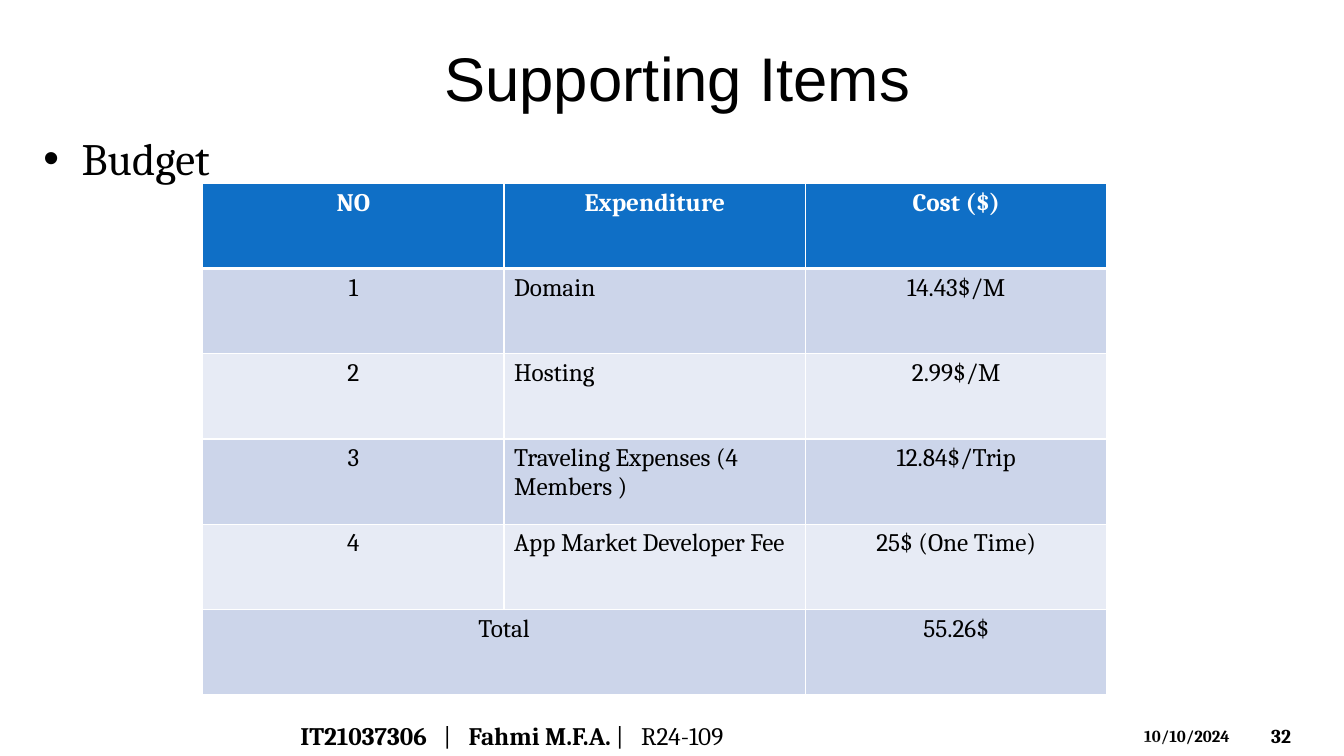
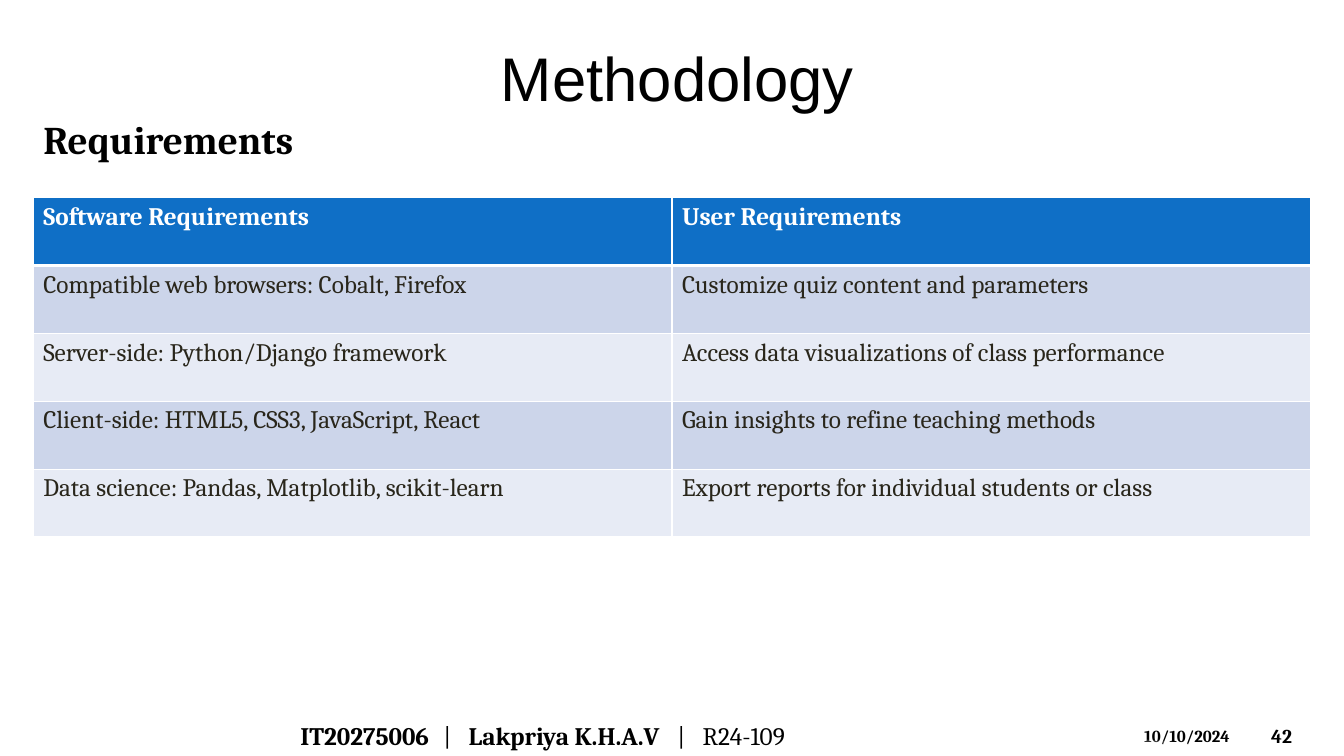
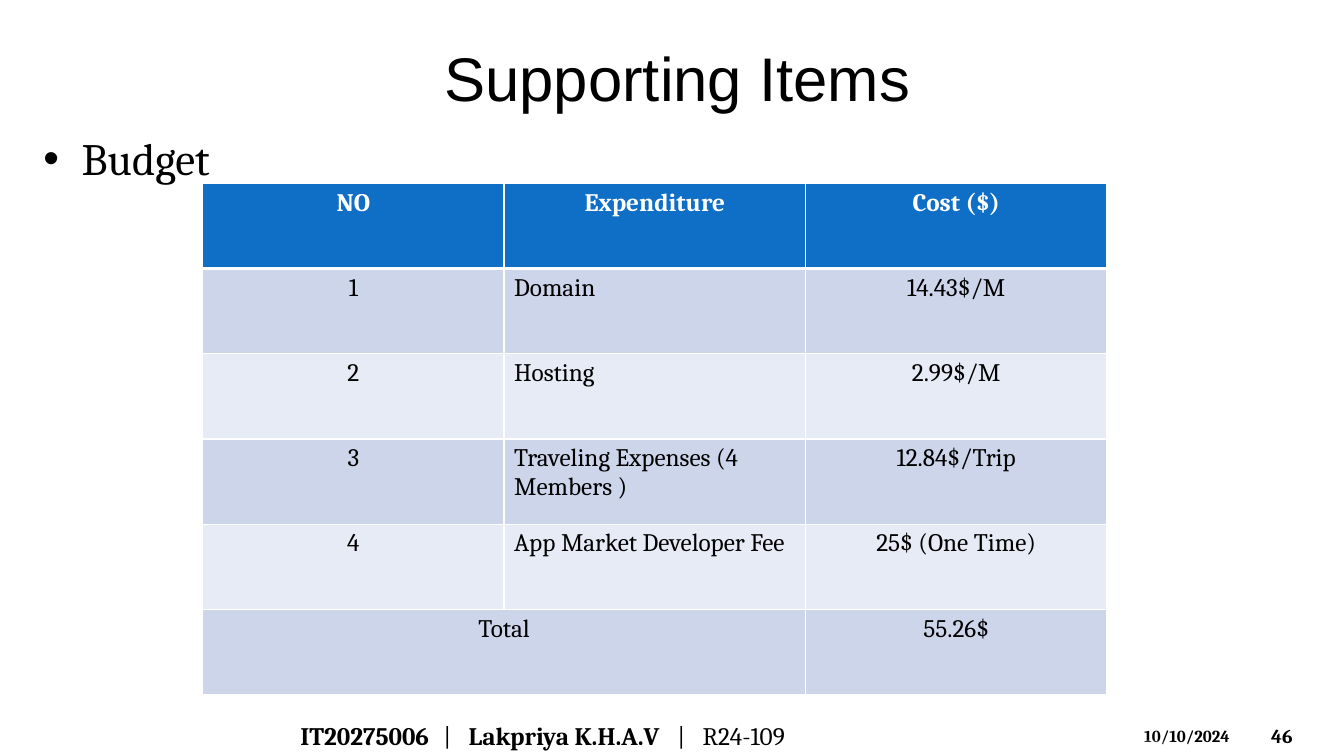
from pptx import Presentation
from pptx.dml.color import RGBColor
from pptx.enum.shapes import MSO_SHAPE
from pptx.enum.text import MSO_ANCHOR, MSO_AUTO_SIZE, PP_ALIGN
from pptx.oxml.ns import qn
from pptx.util import Inches, Pt
from lxml import etree

LEFT, CENTER = PP_ALIGN.LEFT, PP_ALIGN.CENTER
TOP, MIDDLE = MSO_ANCHOR.TOP, MSO_ANCHOR.MIDDLE
NO_FIT = MSO_AUTO_SIZE.NONE
TRIANGLE = MSO_SHAPE.ISOSCELES_TRIANGLE
TITLE_AND_CONTENT = 1

BLACK, WHITE, DARK = "000000", "FFFFFF", "29261B"
HEADER_BLUE, BAND_DARK, BAND_LIGHT = "0F6FC6", "CCD5EA", "E7EBF5"
TITLE_FONT, TEXT_FONT = "Arial", "Cambria"
PAGE_WIDTH = 13.33
BULLET_INDENT = 0.38
FIRST_SEPARATOR, SEPARATOR_GAP = 1.42, 0.25
DATE = "10/10/2024"
PROJECT = "R24-109"
# top, height and apex position of the translucent footer bands
FOOTER_BANDS = ((7.09, 0.41, 0.63), (7.3, 0.2, 0.39))

BUDGET = [
    ["NO", "Expenditure", "Cost ($)"],
    ["1", "Domain", "14.43$/M"],
    ["2", "Hosting", "2.99$/M"],
    ["3", "Traveling Expenses (4 Members )", "12.84$/Trip"],
    ["4", "App Market Developer Fee", "25$ (One Time)"],
    ["Total", "", "55.26$"],
]
REQUIREMENTS = [
    ["Software Requirements", "User Requirements"],
    ["Compatible web browsers: Cobalt, Firefox",
     "Customize quiz content and parameters"],
    ["Server-side: Python/Django framework",
     "Access data visualizations of class performance"],
    ["Client-side: HTML5, CSS3, JavaScript, React",
     "Gain insights to refine teaching methods"],
    ["Data science: Pandas, Matplotlib, scikit-learn",
     "Export reports for individual students or class"],
]


def color(value):
    return RGBColor.from_string(value)


def add_child(parent, tag, **attributes):
    child = etree.SubElement(parent, qn(tag))
    for name, value in attributes.items():
        child.set(name, str(value))
    return child


def set_borders(cell, **widths):
    """Draw white cell borders; call before filling the cell."""
    properties = cell._tc.get_or_add_tcPr()
    for side in ("L", "R", "T", "B"):
        line = add_child(properties, f"a:ln{side}", w=Pt(widths.get(side, 1)))
        fill = add_child(line, "a:solidFill")
        add_child(fill, "a:srgbClr", val=WHITE)


class Slides:
    def __init__(self):
        self.deck = Presentation()
        self.deck.slide_width = Inches(PAGE_WIDTH)
        self.deck.slide_height = Inches(7.5)
        self.page = None

    def add_page(self, title):
        layout = self.deck.slide_layouts[TITLE_AND_CONTENT]
        self.page = self.deck.slides.add_slide(layout)
        para = self.place(self.page.shapes.title, 0.33, 0.33, 12.78, 0.87, MIDDLE)
        para.alignment = CENTER
        self.span(para, title, 44, font=TITLE_FONT)

    def place(self, box, left, top, width, height, anchor=TOP):
        """Position a text shape and return its first paragraph."""
        box.left, box.top = Inches(left), Inches(top)
        box.width, box.height = Inches(width), Inches(height)
        frame = box.text_frame
        frame.word_wrap = True
        frame.auto_size = NO_FIT
        frame.vertical_anchor = anchor
        return frame.paragraphs[0]

    def span(self, para, text, size, hue=BLACK, bold=False, font=TEXT_FONT):
        run = para.add_run()
        run.text = text
        run.font.name, run.font.size = font, Pt(size)
        run.font.bold = bold
        run.font.color.rgb = color(hue)

    def label(self, left, top, width, height, anchor=TOP):
        box = self.page.shapes.add_textbox(0, 0, 0, 0)
        return self.place(box, left, top, width, height, anchor)

    def band(self, top, height, apex):
        shape = self.page.shapes.add_shape(
            TRIANGLE, 0, Inches(top), Inches(PAGE_WIDTH), Inches(height))
        shape.adjustments[0] = apex
        shape.shadow.inherit = False
        shape.line.fill.background()
        shape.fill.solid()
        shape.fill.fore_color.rgb = color(WHITE)
        tint = shape._element.spPr.find(qn("a:solidFill"))[0]
        add_child(tint, "a:alpha", val=20000)

    def body(self, text, top, size, bullet=False, bold=False):
        para = self.place(self.page.placeholders[1], 0.33, top, 12.78, 5.67)
        properties = para._p.get_or_add_pPr()
        indent = Inches(BULLET_INDENT) if bullet else 0
        properties.set("marL", str(indent))
        properties.set("indent", str(-indent))
        if bullet:
            add_child(properties, "a:buChar", char="•")
        else:
            add_child(properties, "a:buNone")
        para.space_before = Pt(0)
        self.span(para, text, size, bold=bold)

    def table(self, rows, left, top, width, height, alignments,
              header_alignment, text_color=BLACK):
        count = len(rows[0])
        table = self.page.shapes.add_table(
            len(rows), count, Inches(left), Inches(top),
            Inches(width), Inches(height)).table
        for column in table.columns:
            column.width = Inches(width / count)
        for index, values in enumerate(rows):
            table.rows[index].height = Inches(height / len(rows))
            header = index == 0
            borders = {0: {"B": 3}, 1: {"T": 3}}.get(index, {})
            band = BAND_DARK if index % 2 else BAND_LIGHT
            for cell, text, alignment in zip(table.rows[index].cells, values, alignments):
                set_borders(cell, **borders)
                cell.fill.solid()
                cell.fill.fore_color.rgb = color(HEADER_BLUE if header else band)
                if text:
                    para = cell.text_frame.paragraphs[0]
                    para.alignment = header_alignment if header else alignment
                    self.span(para, text, 18, WHITE if header else text_color, header)
        return table

    def footer(self, student, name, name_end, number):
        """Add number, date, bands and author; name_end is the tab after the name."""
        self.span(self.label(12.51, 7.1, 0.74, 0.4, MIDDLE), number, 14, bold=True)
        self.span(self.label(11.25, 7.15, 1.17, 0.3), DATE, 12, bold=True)
        for band in FOOTER_BANDS:
            self.band(*band)
        para = self.label(2.88, 7.1, 7.45, 0.4, MIDDLE)
        tabs = add_child(para._p.get_or_add_pPr(), "a:tabLst")
        for start in (FIRST_SEPARATOR, name_end):
            for stop in (start, start + SEPARATOR_GAP):
                add_child(tabs, "a:tab", pos=Inches(stop), algn="l")
        for text, bold in ((student, True), ("\t|\t", False),
                           (name, True), (f"\t|\t{PROJECT}", False)):
            self.span(para, text, 18, bold=bold)

    def budget_page(self, *author):
        self.add_page("Supporting Items")
        self.body("Budget", 1.25, 32, bullet=True)
        table = self.table(BUDGET, 2.01, 1.82, 8.97, 5.07,
                           (CENTER, LEFT, CENTER), CENTER)
        total_row = len(BUDGET) - 1
        table.cell(total_row, 0).merge(table.cell(total_row, 1))
        self.footer(*author)

    def requirements_page(self, *author):
        self.add_page("Methodology")
        self.body("Requirements", 1.09, 28, bold=True)
        self.table(REQUIREMENTS, 0.33, 1.96, 12.67, 3.37,
                   (LEFT, LEFT), LEFT, DARK)
        self.footer(*author)


def main():
    slides = Slides()
    second_author = ("IT20275006", "Lakpriya K.H.A.V", 3.74)
    slides.budget_page("IT21037306", "Fahmi M.F.A.", 3.13, "32")
    slides.requirements_page(*second_author, "42")
    slides.budget_page(*second_author, "46")
    slides.deck.save("out.pptx")


if __name__ == "__main__":
    main()
